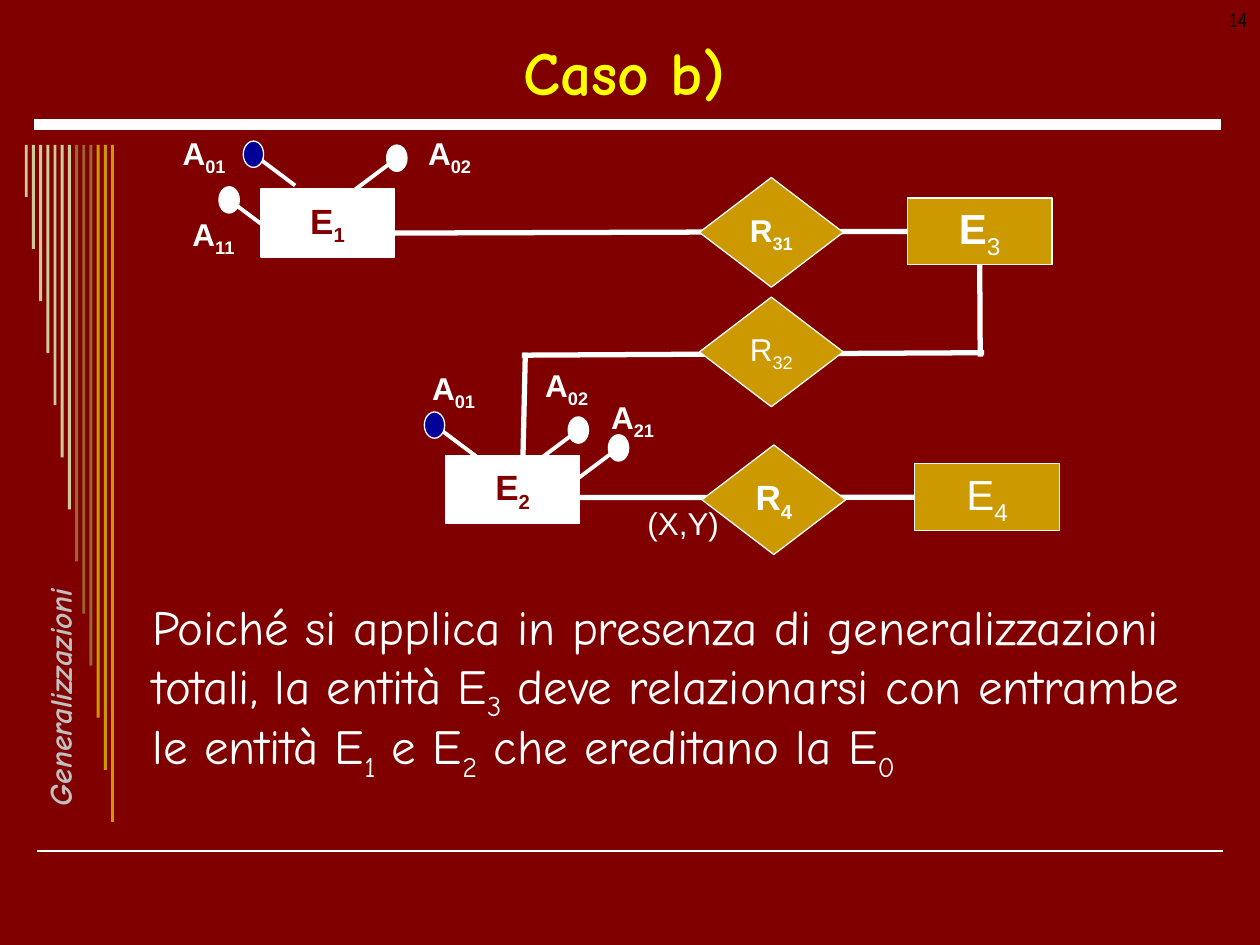
from dataclasses import dataclass

from lxml import etree
from pptx import Presentation
from pptx.dml.color import RGBColor
from pptx.enum.shapes import MSO_CONNECTOR, MSO_SHAPE
from pptx.enum.text import MSO_ANCHOR as ANCHOR, MSO_AUTO_SIZE as AUTO, PP_ALIGN as ALIGN
from pptx.oxml import parse_xml
from pptx.oxml.ns import nsdecls, qn
from pptx.util import Cm, Pt

MAROON = RGBColor(0x80, 0x00, 0x00)
WHITE = RGBColor(0xFF, 0xFF, 0xFF)
YELLOW = RGBColor(0xFF, 0xFF, 0x00)
GOLD = RGBColor(0xCC, 0x99, 0x00)
BROWN = RGBColor(0x99, 0x66, 0x33)
SAND = RGBColor(0xCC, 0xCC, 0x99)
NAVY = RGBColor(0x00, 0x00, 0x99)
SILVER = RGBColor(0xC0, 0xC0, 0xC0)
BLACK = RGBColor(0x00, 0x00, 0x00)
HAND, SANS = "Comic Neue", "Arial"


@dataclass
class Style:
    size: float
    color: RGBColor = WHITE
    font: str = SANS
    bold: bool = False
    italic: bool = False


@dataclass
class Node:
    letter: str
    index: str
    left: float
    top: float
    style: Style
    index_bold: bool


@dataclass
class Attribute:
    """A bubble with its centre, a stalk to the left (-1) or right (1), and a label."""
    index: str
    x: float
    y: float
    side: int
    label_left: float
    label_top: float
    key: bool = False


ENTITY = Style(20, MAROON, bold=True)
CHILDREN = [
    Node("E", "1", 5.26, 3.81, ENTITY, True),
    Node("E", "2", 8.99, 9.19, ENTITY, True),
]
PARTNERS = [
    Node("E", "3", 18.29, 3.99, Style(24, bold=True), False),
    Node("E", "4", 18.44, 9.35, Style(24), False),
]
RELATIONS = [
    Node("R", "31", 14.1, 3.58, Style(18, bold=True), True),
    Node("R", "32", 14.1, 5.99, Style(18), False),
    Node("R", "4", 14.15, 8.97, Style(20, bold=True), True),
]
ATTRIBUTES = [
    Attribute("01", 5.11, 3.11, 1, 3.43, 2.57, key=True),
    Attribute("02", 8.0, 3.19, -1, 8.38, 2.57),
    Attribute("11", 4.62, 4.03, 1, 3.63, 4.22),
    Attribute("01", 8.76, 8.57, 1, 8.46, 7.32, key=True),
    Attribute("02", 11.66, 8.67, -1, 10.74, 7.26),
    Attribute("21", 12.47, 9.03, -1, 12.07, 7.9),
]
STRIPES = [SAND] * 7 + [BROWN] * 3 + [GOLD] * 3
BODY = [
    "Poiché si applica in presenza di generalizzazioni totali, la entità E", "3",
    " deve relazionarsi con entrambe le entità E", "1",
    " e E", "2", " che ereditano la E", "0",
]


def add_run(p, text: str, style: Style, subscript: bool = False):
    r = p.add_run()
    r.text = text
    r.font.name, r.font.size = style.font, Pt(style.size)
    r.font.bold, r.font.italic = style.bold, style.italic
    r.font.color.rgb = style.color
    if subscript:
        r.font._element.set("baseline", "-25000")
    return r


def add_line(slide, x1: float, y1: float, x2: float, y2: float, width: float):
    line = slide.shapes.add_connector(MSO_CONNECTOR.STRAIGHT, Cm(x1), Cm(y1), Cm(x2), Cm(y2))
    line.line.color.rgb = WHITE
    line.line.width = Pt(width)
    etree.SubElement(line._element.spPr, qn("a:effectLst"))
    return line


def add_filled(slide, kind, left: float, top: float, width: float, height: float,
               fill: RGBColor, outlined: bool = True):
    s = slide.shapes.add_shape(kind, Cm(left), Cm(top), Cm(width), Cm(height))
    s.shadow.inherit = False
    s.fill.solid()
    s.fill.fore_color.rgb = fill
    if outlined:
        s.line.color.rgb = WHITE
        s.line.width = Pt(0.75)
    else:
        s.line.fill.background()
    return s


def add_node(slide, node: Node, kind, width: float, height: float, fill: RGBColor):
    s = add_filled(slide, kind, node.left, node.top, width, height, fill)
    tf = s.text_frame
    tf.word_wrap = False
    tf.vertical_anchor = ANCHOR.MIDDLE
    p = tf.paragraphs[0]
    p.alignment = ALIGN.CENTER
    add_run(p, node.letter, node.style)
    add_run(p, node.index, node.style, subscript=True).font.bold = node.index_bold
    return s


def add_text(slide, left: float, top: float, width: float, height: float, wrap: bool = True):
    s = slide.shapes.add_textbox(Cm(left), Cm(top), Cm(width), Cm(height))
    s.text_frame.word_wrap = wrap
    return s


def add_attribute(slide, a: Attribute) -> None:
    add_line(slide, a.x, a.y, a.x + a.side * 0.84, a.y + 0.63, 2.25)
    width, height = 0.41, 0.53
    add_filled(slide, MSO_SHAPE.OVAL, a.x - width / 2, a.y - height / 2, width, height,
               NAVY if a.key else WHITE)
    p = add_text(slide, a.label_left, a.label_top, 1.75, 1.12).text_frame.paragraphs[0]
    label = Style(18, bold=True)
    add_run(p, "A", label)
    add_run(p, a.index, label, subscript=True)


def place(s, left: float, top: float, width: float, height: float):
    s.left, s.top, s.width, s.height = Cm(left), Cm(top), Cm(width), Cm(height)
    s.text_frame.word_wrap = True
    s.text_frame.auto_size = AUTO.NONE
    return s.text_frame


def add_frame(slide) -> None:
    """Rules, stripes, side caption and page number around the content."""
    add_line(slide, 0.74, 17.15, 24.66, 17.15, 1)
    add_line(slide, 0.69, 2.51, 24.61, 2.51, 6)
    for i, color in enumerate(STRIPES):
        add_filled(slide, MSO_SHAPE.RECTANGLE, 0.5 + i * 0.145, 2.92, 0.06,
                   1.05 * (i + 1), color, outlined=False)
    caption = add_text(slide, -1.9, 13.31, 5.79, 0.61, wrap=False)
    caption.rotation = 270
    r = add_run(caption.text_frame.paragraphs[0], "Generalizzazioni",
                Style(18, SILVER, HAND, bold=True, italic=True))
    r.font._element.insert(0, parse_xml(
        f'<a:ln {nsdecls("a")} w="9525"><a:solidFill><a:srgbClr val="333300"/>'
        "</a:solidFill></a:ln>"))
    p = add_text(slide, 19.48, 0, 5.92, 1.27).text_frame.paragraphs[0]
    p.alignment = ALIGN.RIGHT
    add_run(p, "14", Style(12, BLACK, HAND))


def add_diagram(slide) -> None:
    for node in CHILDREN:
        add_node(slide, node, MSO_SHAPE.RECTANGLE, 2.69, 1.37, WHITE)
    e3, e4 = [add_node(slide, node, MSO_SHAPE.RECTANGLE, 2.92, 1.35, GOLD) for node in PARTNERS]
    add_line(slide, 7.49, 4.7, 18.29, 4.66, 3).end_connect(e3, 1)
    add_line(slide, 11.61, 10.03, 18.44, 10.03, 3).end_connect(e4, 1)
    add_line(slide, 19.75, 5.34, 19.76, 7.19, 3).begin_connect(e3, 2)
    add_line(slide, 10.52, 7.16, 19.84, 7.11, 3)
    add_line(slide, 10.59, 7.11, 10.54, 9.35, 3)
    for node in RELATIONS:
        add_node(slide, node, MSO_SHAPE.DIAMOND, 2.9, 2.21, GOLD)
    for attribute in ATTRIBUTES:
        add_attribute(slide, attribute)
    cardinality = add_text(slide, 12.8, 10.03, 1.98, 1.02)
    add_run(cardinality.text_frame.paragraphs[0], "(X,Y)", Style(18))


def main() -> None:
    prs = Presentation()
    prs.slide_width, prs.slide_height = Cm(25.4), Cm(19.05)
    slide = prs.slides.add_slide(prs.slide_layouts[1])
    slide.background.fill.solid()
    slide.background.fill.fore_color.rgb = MAROON
    add_frame(slide)

    tf = place(slide.shapes.title, 0.89, 0.53, 23.39, 1.8)
    tf.vertical_anchor = ANCHOR.MIDDLE
    tf.paragraphs[0].alignment = ALIGN.CENTER
    add_run(tf.paragraphs[0], "Caso b)", Style(35, YELLOW, HAND, bold=True))

    p = place(slide.placeholders[1], 2.82, 12.04, 21.64, 4.9).paragraphs[0]
    pPr = p._p.get_or_add_pPr()
    pPr.set("marL", "0")
    pPr.set("indent", "0")
    etree.SubElement(pPr, qn("a:buNone"))
    p.line_spacing, p.space_before = 0.9, Pt(0)
    for i, text in enumerate(BODY):
        add_run(p, text, Style(28, font=HAND), subscript=i % 2 == 1)

    add_diagram(slide)
    prs.save("out.pptx")


if __name__ == "__main__":
    main()
